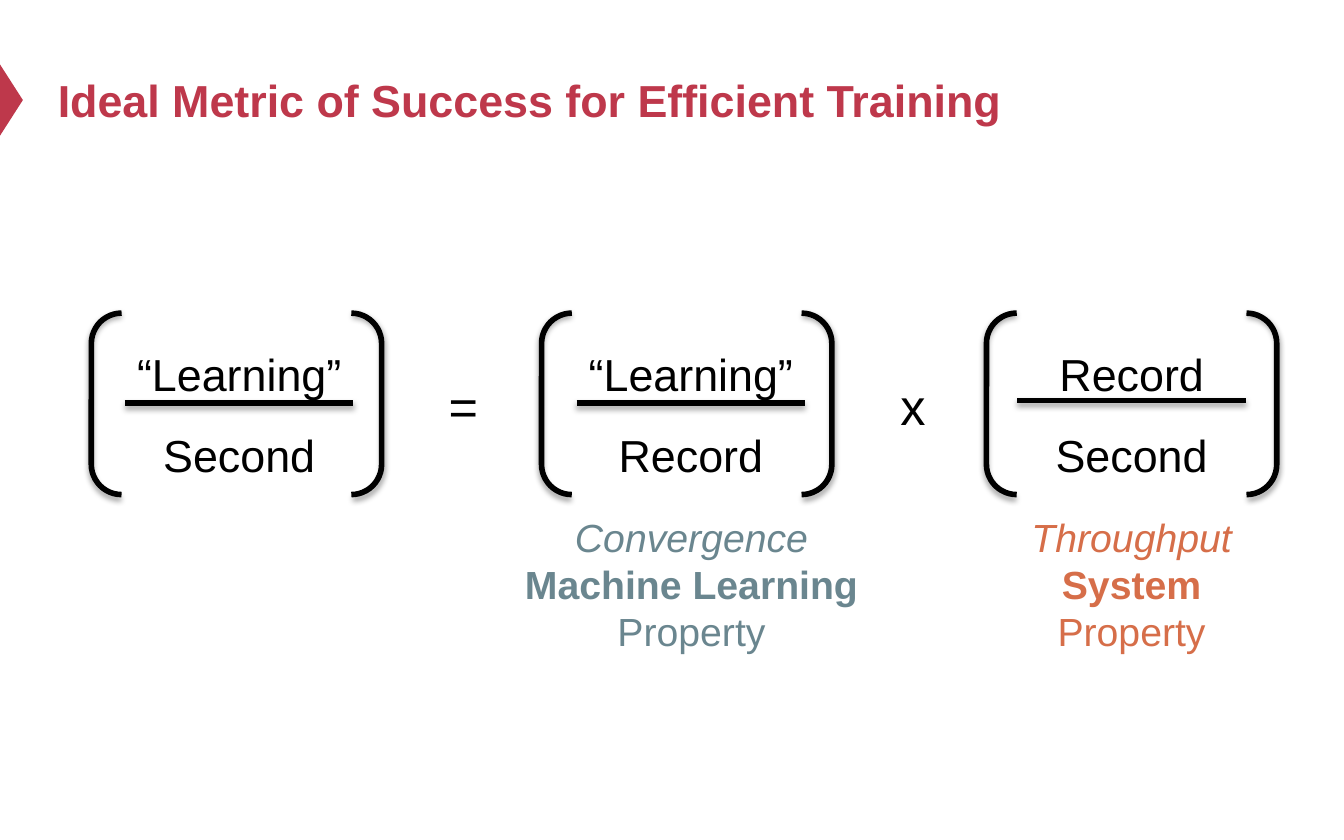
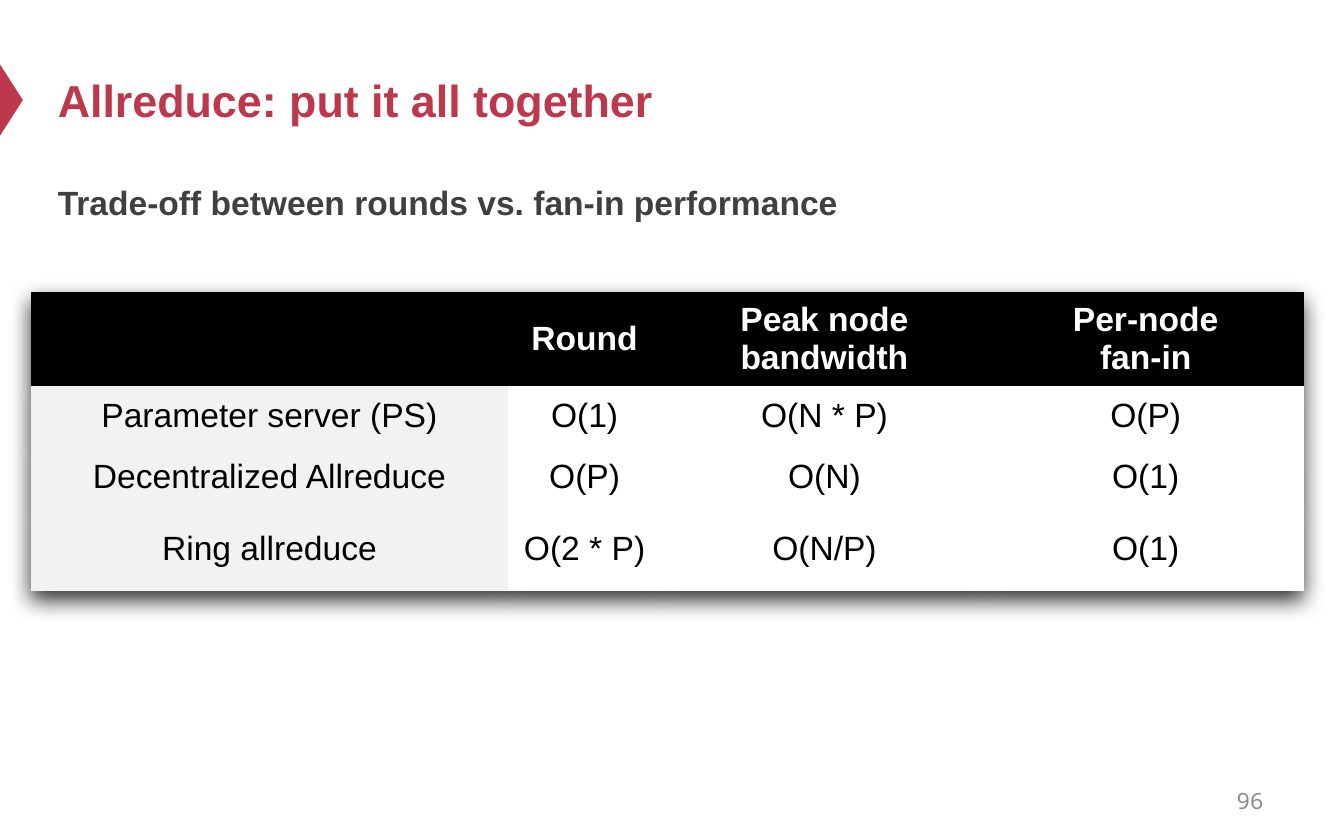
"""Build two slides: a training-efficiency equation and an allreduce comparison table."""
from lxml import etree
from pptx import Presentation
from pptx.dml.color import RGBColor
from pptx.enum.shapes import MSO_CONNECTOR, MSO_SHAPE
from pptx.enum.text import MSO_ANCHOR, MSO_AUTO_SIZE, PP_ALIGN
from pptx.oxml.ns import qn
from pptx.util import Inches, Pt

LEFT, CENTER, RIGHT = PP_ALIGN.LEFT, PP_ALIGN.CENTER, PP_ALIGN.RIGHT
TOP, MIDDLE = MSO_ANCHOR.TOP, MSO_ANCHOR.MIDDLE
FIT_SHAPE, FIT_NONE = MSO_AUTO_SIZE.SHAPE_TO_FIT_TEXT, MSO_AUTO_SIZE.NONE
TRIANGLE, BRACKETS = MSO_SHAPE.ISOSCELES_TRIANGLE, MSO_SHAPE.DOUBLE_BRACKET
STRAIGHT = MSO_CONNECTOR.STRAIGHT

COLORS = {"accent": "BE384B", "text": "000000", "subtitle": "404040",
          "learning": "6A868F", "system": "D66E49", "number": "8C8C8C",
          "white": "FFFFFF", "label": "F2F2F2"}
FONT, NUMBER_FONT = "Arial", "Noto Sans Mono"
NO_STYLE = "{2D5ABB26-0587-4C30-8999-92F81FD0307C}"

WIDTH, HEIGHT = 10, 6.25
MARGIN, CONTENT_WIDTH = 0.33, 9
TITLE_BOX = (MARGIN, 0.25, CONTENT_WIDTH, 0.98)
BODY_BOX = (MARGIN, 1.24, CONTENT_WIDTH, 4.12)
MARKER_BOX = (-0.18, 0.66, 0.53, 0.17)
NUMBER_BOX = (7.17, 5.79, 2.33, 0.33)
BRACKET_WIDTH, BRACKET_HEIGHT, BAR_WIDTH = 2.16, 1.35, 1.7
EQUATION_TOP, FRACTION_HEIGHT = 2.33, 1.24
OPERATOR_TOP, CAPTION_TOP = 2.74, 3.77

EQUATION_TITLE = "Ideal Metric of Success for Efficient Training"
FRACTIONS = [
    {"lines": ["“Learning”", "Second"], "left": 0.68, "center": 1.78, "bar": 3, "width": 1.74},
    {"lines": ["“Learning”", "Record"], "left": 4.03, "center": 5.14, "bar": 3, "width": 1.74},
    {"lines": ["Record", "Second"], "left": 7.34, "center": 8.42, "bar": 2.98, "width": 1.34},
]
OPERATORS = [("=", 3.24, 0.42), ("x", 6.6, 0.39)]
CAPTIONS = [
    (["Convergence", "Machine Learning", "Property"], "learning", 3.75, 2.79),
    (["Throughput", "System", "Property"], "system", 7.57, 1.7),
]
CAPTION_STYLES = [{"italic": True}, {"bold": True}, {}]

TABLE_TITLE = "Allreduce: put it all together"
SUBTITLE = "Trade-off between rounds vs. fan-in performance"
SLIDE_NUMBER = "96"
TABLE_ROWS = [
    ["", "Round", "Peak node bandwidth", "Per-node\nfan-in"],
    ["Parameter server (PS)", "O(1)", "O(N * P)", "O(P)"],
    ["Decentralized Allreduce", "O(P)", "O(N)", "O(1)"],
    ["Ring allreduce", "O(2 * P)", "O(N/P)", "O(1)"],
]
TABLE_LEFT, TABLE_TOP = 0.23, 2.17
COLUMN_WIDTHS = [3.55, 1.14, 2.43, 2.35]
ROW_HEIGHTS = [0.66, 0.45, 0.45, 0.63]


def inches(values):
    """Convert several lengths to slide units."""
    return [Inches(value) for value in values]


def rgb(name):
    """Look up a palette colour."""
    return RGBColor.from_string(COLORS[name])


def assign(target, values):
    """Set attributes from a dict."""
    for name, value in values.items():
        setattr(target, name, value)


def write(frame, lines, size, color, styles=None, font=FONT, **layout):
    """Write one formatted paragraph per line."""
    frame.text = "\n".join(lines)
    for index, paragraph in enumerate(frame.paragraphs):
        assign(paragraph, layout)
        style = {"name": font, "size": Pt(size), "bold": False, "italic": False}
        for run in paragraph.runs:
            assign(run.font, style | (styles[index] if styles else {}))
            run.font.color.rgb = rgb(color)


def add_label(shapes, box, lines, size, color, styles=None, **layout):
    """Add a text box that fits its unwrapped text."""
    frame = shapes.add_textbox(*inches(box)).text_frame
    assign(frame, {"word_wrap": False, "auto_size": FIT_SHAPE})
    write(frame, lines, size, color, styles, **layout)


def add_shadow(properties, blur, distance, opacity, position=None):
    """Add a black shadow that falls straight down."""
    effects = etree.Element(qn("a:effectLst"))
    shadow = etree.SubElement(effects, qn("a:outerShdw"), blurRad=str(Pt(blur)),
                              dist=str(Pt(distance)), dir="5400000",
                              algn="ctr", rotWithShape="0")
    color = etree.SubElement(shadow, qn("a:srgbClr"), val=COLORS["text"])
    etree.SubElement(color, qn("a:alpha"), val=str(opacity * 1000))
    properties.insert(len(properties) if position is None else position, effects)


def draw_stroke(shape):
    """Give a shape or connector the equation's heavy, shadowed line."""
    shape.line.color.rgb = rgb("text")
    shape.line.width = Pt(3)
    add_shadow(shape.element.spPr, 3.1, 1.8, 35)


def place(shape, box):
    """Move and size a placeholder."""
    assign(shape, dict(zip(("left", "top", "width", "height"), inches(box))))


def add_slide(presentation, layout, title):
    """Add a slide with the marker and styled title."""
    slide = presentation.slides.add_slide(presentation.slide_layouts[layout])
    marker = slide.shapes.add_shape(TRIANGLE, *inches(MARKER_BOX))
    marker.rotation = 90
    marker.shadow.inherit = False
    marker.fill.solid()
    marker.fill.fore_color.rgb = rgb("accent")
    marker.line.fill.background()
    place(slide.shapes.title, TITLE_BOX)
    frame = slide.shapes.title.text_frame
    assign(frame, {"vertical_anchor": MIDDLE, "auto_size": FIT_NONE})
    write(frame, [title], 24, "accent", [{"bold": True}], alignment=LEFT)
    return slide


def add_fraction(slide, fraction):
    """Group a fraction's text, bar and brackets."""
    shapes = slide.shapes.add_group_shape().shapes
    center, width, bar = fraction["center"], fraction["width"], fraction["bar"]
    add_label(shapes, (center - width / 2, EQUATION_TOP, width, FRACTION_HEIGHT),
              fraction["lines"], 24, "text", alignment=CENTER, line_spacing=1.5)
    ends = (center - BAR_WIDTH / 2, bar, center + BAR_WIDTH / 2, bar)
    draw_stroke(shapes.add_connector(STRAIGHT, *inches(ends)))
    brackets = shapes.add_shape(BRACKETS, *inches(
        (fraction["left"], EQUATION_TOP, BRACKET_WIDTH, BRACKET_HEIGHT)))
    brackets.fill.background()
    draw_stroke(brackets)


def build_equation(presentation):
    """Build the equation slide."""
    slide = add_slide(presentation, 5, EQUATION_TITLE)
    for fraction in FRACTIONS:
        add_fraction(slide, fraction)
    for symbol, left, width in OPERATORS:
        add_label(slide.shapes, (left, OPERATOR_TOP, width, 0.56), [symbol], 27, "text")
    for lines, color, left, width in CAPTIONS:
        add_label(slide.shapes, (left, CAPTION_TOP, width, 1.16), lines, 21, color,
                  CAPTION_STYLES, alignment=CENTER)


def add_comparison(slide):
    """Add the comparison table."""
    box = (TABLE_LEFT, TABLE_TOP, sum(COLUMN_WIDTHS), sum(ROW_HEIGHTS))
    graphic = slide.shapes.add_table(len(TABLE_ROWS), len(COLUMN_WIDTHS), *inches(box))
    table = graphic.table
    properties = next(graphic.element.iter(qn("a:tblPr")))
    properties.find(qn("a:tableStyleId")).text = NO_STYLE
    add_shadow(properties, 12, 5, 80, position=0)
    for column, width in zip(table.columns, COLUMN_WIDTHS):
        column.width = Inches(width)
    for row, height in zip(table.rows, ROW_HEIGHTS):
        row.height = Inches(height)
    for row_index, values in enumerate(TABLE_ROWS):
        header = row_index == 0
        for column_index, value in enumerate(values):
            cell = table.cell(row_index, column_index)
            cell.vertical_anchor = MIDDLE
            if not header:
                sides = ("left", "right", "top", "bottom")
                assign(cell, {f"margin_{side}": 0 for side in sides})
            body_fill = "white" if column_index else "label"
            cell.fill.solid()
            cell.fill.fore_color.rgb = rgb("text" if header else body_fill)
            lines = value.split("\n")
            write(cell.text_frame, lines, 18, "white" if header else "text",
                  [{"bold": header}] * len(lines), alignment=CENTER)


def build_comparison(presentation):
    """Build the table slide."""
    slide = add_slide(presentation, 1, TABLE_TITLE)
    body = slide.placeholders[1]
    place(body, BODY_BOX)
    frame = body.text_frame
    assign(frame, {"vertical_anchor": TOP, "auto_size": FIT_NONE})
    write(frame, [SUBTITLE], 18, "subtitle", [{"bold": True}],
          alignment=LEFT, line_spacing=1.2, space_before=Pt(0))
    properties = next(body.element.iter(qn("a:pPr")))
    properties.set("marL", "0")
    properties.set("indent", "0")
    etree.SubElement(properties, qn("a:buNone"))
    number = slide.shapes.add_textbox(*inches(NUMBER_BOX)).text_frame
    assign(number, {"word_wrap": True, "vertical_anchor": MIDDLE})
    write(number, [SLIDE_NUMBER], 12, "number", font=NUMBER_FONT, alignment=RIGHT)
    add_comparison(slide)


def main():
    """Build and save the presentation."""
    presentation = Presentation()
    assign(presentation, {"slide_width": Inches(WIDTH), "slide_height": Inches(HEIGHT)})
    build_equation(presentation)
    build_comparison(presentation)
    presentation.save("out.pptx")


if __name__ == "__main__":
    main()
